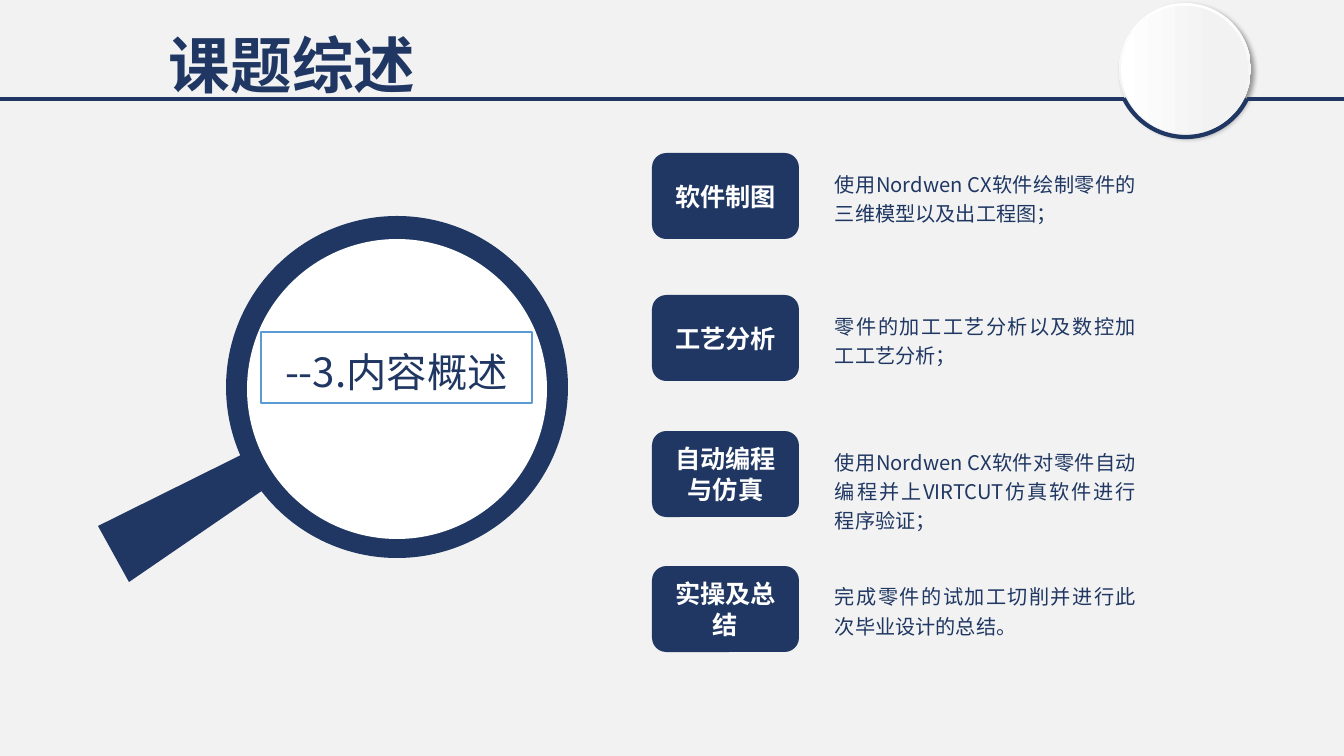
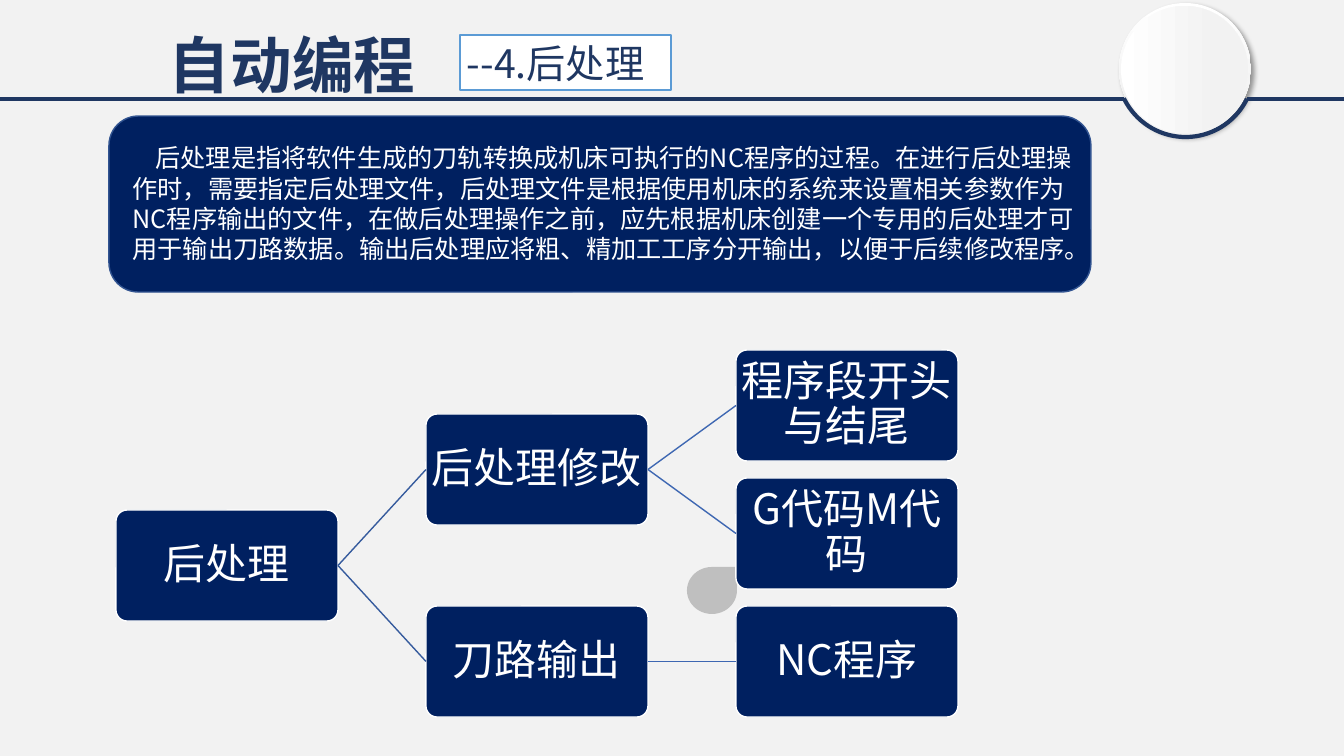
from lxml.etree import SubElement
from pptx import Presentation
from pptx.dml.color import RGBColor
from pptx.enum.shapes import MSO_CONNECTOR, MSO_SHAPE as SHAPE
from pptx.enum.text import MSO_ANCHOR as ANCHOR, MSO_AUTO_SIZE, PP_ALIGN as ALIGN
from pptx.oxml.ns import qn
from pptx.util import Pt

PX = 9071  # EMU in one px, slide 1344 x 756 px
FONT = "Noto Sans CJK SC"
HEX = {
    "page": "F2F2F2", "navy": "1F3762", "deep": "002060", "white": "FFFFFF",
    "sky": "5B9BD5", "edge": "325491", "branch": "365B9D", "twig": "3E67B2",
    "grey": "BFBFBF",
}
COLORS = {name: RGBColor.from_string(value) for name, value in HEX.items()}


def add_shape(slide, kind, left, top, width, height, fill=None, line=None, line_width=1):
    shape = slide.shapes.add_shape(kind, left * PX, top * PX, width * PX, height * PX)
    shape.shadow.inherit = False
    if fill:
        shape.fill.solid()
        shape.fill.fore_color.rgb = COLORS[fill]
    else:
        shape.fill.background()
    if line:
        shape.line.color.rgb = COLORS[line]
        shape.line.width = Pt(line_width)
    else:
        shape.line.fill.background()
    return shape


def write(shape, text, size, color="navy", bold=False, align=ALIGN.LEFT, anchor=ANCHOR.TOP,
          spacing=1.0, indent=0, margins=(10, 5, 10, 5), wrap=True):
    frame = shape.text_frame
    frame.word_wrap = wrap
    frame.auto_size = MSO_AUTO_SIZE.NONE
    frame.vertical_anchor = anchor
    frame.margin_left, frame.margin_top, frame.margin_right, frame.margin_bottom = (
        margin * PX for margin in margins)
    frame.text = text
    paragraph = frame.paragraphs[0]
    paragraph.alignment = align
    paragraph.line_spacing = spacing
    properties = paragraph._p.get_or_add_pPr()
    properties.set("marL", "0")
    properties.set("indent", str(indent * PX))
    font = paragraph.font
    font.size, font.bold, font.name = Pt(size), bold, FONT
    font.color.rgb = COLORS[color]
    SubElement(font._element, qn("a:ea"), typeface=FONT)


presentation = Presentation()
presentation.slide_width = 1344 * PX
presentation.slide_height = 756 * PX

# Shared background and title place
layout = presentation.slide_layouts[5]
layout.background.fill.solid()
layout.background.fill.fore_color.rgb = COLORS["page"]
layout_title = layout.placeholders[0]
layout_title.left, layout_title.top = 109 * PX, 11 * PX
layout_title.width, layout_title.height = 491 * PX, 105 * PX

# Slides with their titles
overview, post = (presentation.slides.add_slide(layout) for _ in range(2))
for slide, title in ((overview, "课题综述"), (post, "自动编程")):
    write(slide.shapes.title, title, 44, bold=True, anchor=ANCHOR.MIDDLE, indent=50)

# Shared header: badge, arc and rules, drawn once and moved to the layout
header = []
for left, top, size, angle in ((1119, 3, 132, 270), (1121, 6, 127, 0)):
    disc = add_shape(overview, SHAPE.OVAL, left, top, size, size, "white")
    disc.fill.gradient()
    disc.fill.gradient_angle = angle
    for stop, color, position in zip(disc.fill.gradient_stops, ("white", "page"), (0, 0.74)):
        stop.color.rgb = COLORS[color]
        stop.position = position
    header.append(disc)
effects = header[0]._element.spPr.find(qn("a:effectLst"))
shadow = SubElement(effects, qn("a:outerShdw"), blurRad=str(Pt(4)), dist=str(Pt(3)),
                    dir="2700000", algn="tl", rotWithShape="0")
shadow_color = SubElement(shadow, qn("a:srgbClr"), val="000000")
SubElement(shadow_color, qn("a:alpha"), val="40000")

arc = add_shape(overview, SHAPE.ARC, 1117, 0, 137, 137, line="navy", line_width=3)
arc.adjustments[0], arc.adjustments[1] = 139.89, 0.77
arc.rotation = 153
header.append(arc)
for start, end in ((0, 1124), (1247, 1344)):
    rule = overview.shapes.add_connector(
        MSO_CONNECTOR.STRAIGHT, start * PX, 99 * PX, end * PX, 99 * PX)
    rule.line.color.rgb = COLORS["navy"]
    rule.line.width = Pt(3)
    SubElement(rule._element.spPr, qn("a:effectLst"))
    header.append(rule)
for number, shape in enumerate(header, 20):
    shape._element.xpath(".//p:cNvPr")[0].set("id", str(number))
    layout.shapes._spTree.append(shape._element)

# Overview: magnifier
builder = overview.shapes.build_freeform(98, 526, scale=PX)
builder.add_line_segments([(249, 451), (269, 486), (129, 582)], close=True)
handle = builder.convert_to_shape()
handle.shadow.inherit = False
handle.fill.solid()
handle.fill.fore_color.rgb = COLORS["navy"]
handle.line.fill.background()
add_shape(overview, SHAPE.OVAL, 226, 216, 342, 342, "navy")
add_shape(overview, SHAPE.OVAL, 247, 239, 300, 300, "white")
tag = add_shape(overview, SHAPE.RECTANGLE, 261, 332, 271, 71, "white", "sky")
write(tag, "--3.内容概述", 28.8, align=ALIGN.CENTER, spacing=1.2, margins=(12, 6, 12, 6))

# Overview: topics with descriptions
topics = [
    (153, "软件制图", "使用Nordwen CX软件绘制零件的三维模型以及出工程图；"),
    (295, "工艺分析", "零件的加工工艺分析以及数控加工工艺分析；"),
    (431, "自动编程与仿真", "使用Nordwen CX软件对零件自动编程并上VIRTCUT仿真软件进行程序验证；"),
    (566, "实操及总结", "完成零件的试加工切削并进行此次毕业设计的总结。"),
]
for top, topic, description in topics:
    label = add_shape(overview, SHAPE.ROUNDED_RECTANGLE, 652, top, 147, 86, "navy")
    write(label, topic, 18, "white", bold=True, align=ALIGN.CENTER, anchor=ANCHOR.MIDDLE)
    detail = overview.shapes.add_textbox(825 * PX, (top + 9) * PX, 321 * PX, 69 * PX)
    write(detail, description, 14.4, align=ALIGN.JUSTIFY, spacing=1.2)

# Post-processing: subtitle tag, explanation and drop
tag = add_shape(post, SHAPE.RECTANGLE, 460, 35, 211, 55, "white", "sky")
write(tag, "--4.后处理", 28, margins=(7, 4, 7, 4), wrap=False)
panel = add_shape(post, SHAPE.ROUNDED_RECTANGLE, 109, 116, 982, 176, "deep", "edge")
write(panel, "后处理是指将软件生成的刀轨转换成机床可执行的NC程序的过程。在进行后处理操作时，"
      "需要指定后处理文件，后处理文件是根据使用机床的系统来设置相关参数作为NC程序输出的文件，"
      "在做后处理操作之前，应先根据机床创建一个专用的后处理才可用于输出刀路数据。"
      "输出后处理应将粗、精加工工序分开输出，以便于后续修改程序。",
      18, "white", indent=23, margins=(15, 18, 2, 0))
add_shape(post, SHAPE.TEAR, 687, 567, 50, 47, "grey")

# Post-processing: tree, each parent centred on its children
LEAF_TOP, LEAF_STEP, COLUMN_LEFT, COLUMN_STEP = 350, 128, 116, 310
nodes = [  # text, column, row, parent
    ("后处理", 0, 1.25, None),
    ("后处理修改", 1, 0.5, "后处理"),
    ("刀路输出", 1, 2, "后处理"),
    ("程序段开头与结尾", 2, 0, "后处理修改"),
    ("G代码M代码", 2, 1, "后处理修改"),
    ("NC程序", 2, 2, "刀路输出"),
]
boxes = {}
for text, column, row, parent in nodes:
    box = add_shape(post, SHAPE.ROUNDED_RECTANGLE, COLUMN_LEFT + COLUMN_STEP * column,
                    int(LEAF_TOP + LEAF_STEP * row), 222, 111, "deep", "white")
    box.adjustments[0] = 0.1
    write(box, text, 30, "white", align=ALIGN.CENTER, anchor=ANCHOR.MIDDLE,
          spacing=0.9, margins=(1, 2, 1, 2))
    boxes[text] = box
    if parent:
        link = post.shapes.add_connector(MSO_CONNECTOR.STRAIGHT, 0, 0, 0, 0)
        link.begin_connect(boxes[parent], 3)
        link.end_connect(box, 1)
        link.line.color.rgb = COLORS["branch" if column == 1 else "twig"]
        link.line.width = Pt(1)
        SubElement(link._element.spPr, qn("a:effectLst"))

presentation.save("out.pptx")
